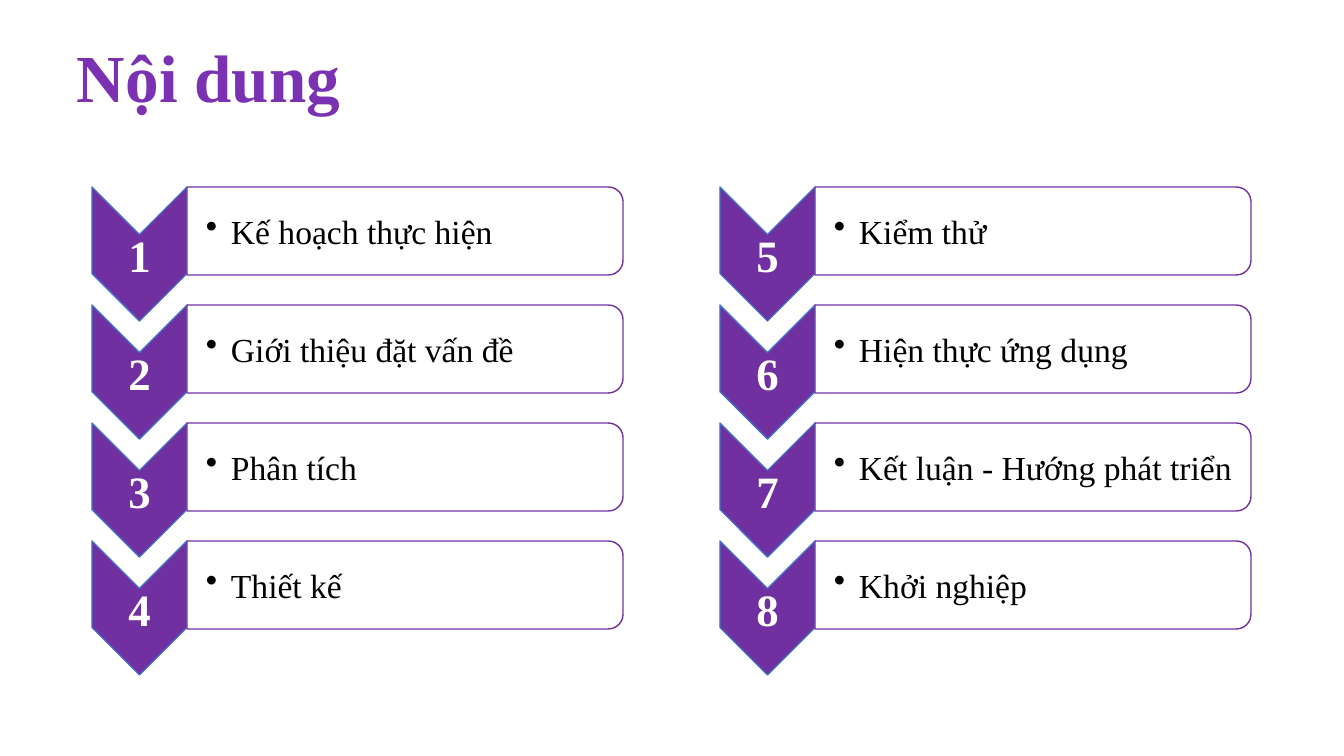
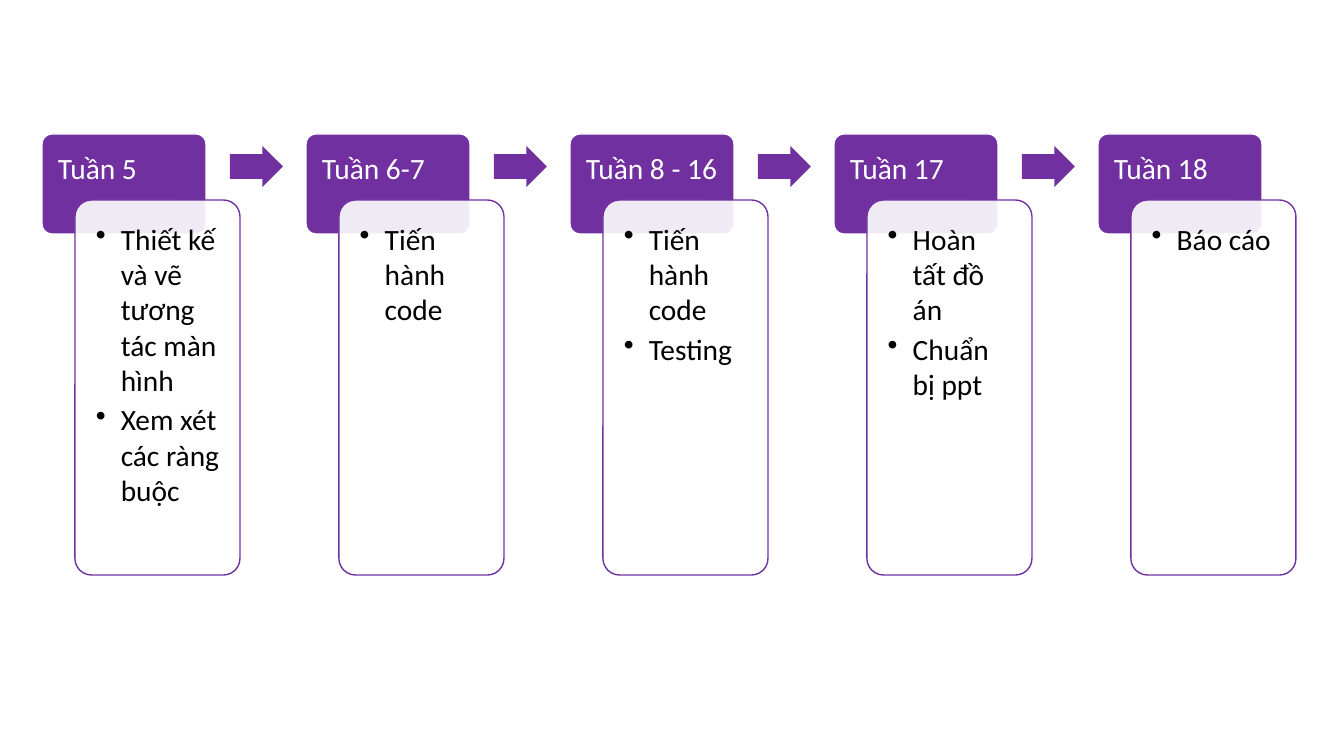
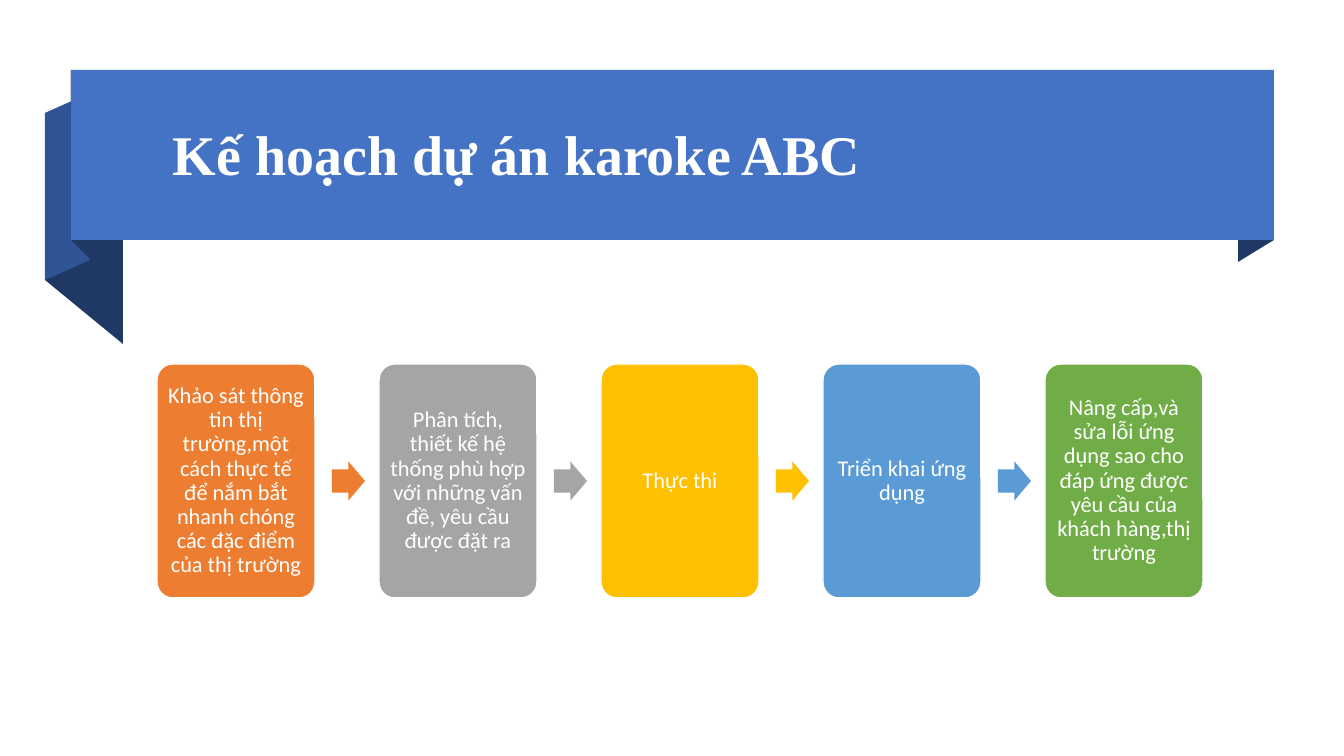
from lxml import etree
from pptx import Presentation
from pptx.dml.color import RGBColor
from pptx.enum.shapes import MSO_SHAPE as SHAPE
from pptx.enum.text import MSO_ANCHOR as ANCHOR, MSO_AUTO_SIZE as AUTO, PP_ALIGN as ALIGN
from pptx.oxml.ns import qn
from pptx.util import Pt

PX = 914400 / 100.8  # EMU in one px of a 1344 x 756 slide

WHITE = RGBColor(0xFF, 0xFF, 0xFF)
BLACK = RGBColor(0x00, 0x00, 0x00)
PURPLE = RGBColor(0x70, 0x30, 0xA0)
TITLE_LIGHT = RGBColor(0x7B, 0x32, 0xB2)
TITLE_DARK = RGBColor(0x40, 0x1A, 0x5D)
BLUE = RGBColor(0x44, 0x72, 0xC4)
MID_BLUE = RGBColor(0x2F, 0x55, 0x97)
NAVY = RGBColor(0x20, 0x38, 0x64)
ORANGE = RGBColor(0xED, 0x7D, 0x31)
GRAY = RGBColor(0xA5, 0xA5, 0xA5)
GOLD = RGBColor(0xFF, 0xC0, 0x00)
SKY = RGBColor(0x5B, 0x9B, 0xD5)
GREEN = RGBColor(0x70, 0xAD, 0x47)

SERIF = "Times New Roman"
SANS = "Calibri"

AGENDA = [
    ["Kế hoạch thực hiện", "Giới thiệu đặt vấn đề", "Phân tích", "Thiết kế"],
    ["Kiểm thử", "Hiện thực ứng dụng", "Kết luận - Hướng phát triển", "Khởi nghiệp"],
]
WEEKS = [
    ("Tuần 5", ["Thiết kế và vẽ tương tác màn hình", "Xem xét các ràng buộc"]),
    ("Tuần 6-7", ["Tiến hành code"]),
    ("Tuần 8 - 16", ["Tiến hành code", "Testing"]),
    ("Tuần 17", ["Hoàn tất đồ án", "Chuẩn bị ppt"]),
    ("Tuần 18", ["Báo cáo"]),
]
STEPS = [
    ("Khảo sát thông tin thị trường,một cách thực tế để nắm bắt nhanh chóng "
     "các đặc điểm của thị trường", ORANGE),
    ("Phân tích, thiết kế hệ thống phù hợp với những vấn đề, yêu cầu được đặt ra", GRAY),
    ("Thực thi", GOLD),
    ("Triển khai ứng dụng", SKY),
    ("Nâng cấp,và sửa lỗi ứng dụng sao cho đáp ứng được yêu cầu của khách hàng,thị trường",
     GREEN),
]


def px(n):
    return round(n * PX)


def box(*lengths):
    return [px(n) for n in lengths]


def paint(sp, fill, line=None, alpha=None):
    sp.shadow.inherit = False
    sp.fill.solid()
    sp.fill.fore_color.rgb = fill
    if alpha:
        color = sp._element.spPr.find(qn("a:solidFill")).find(qn("a:srgbClr"))
        etree.SubElement(color, qn("a:alpha"), val=str(alpha * 1000))
    if line is None:
        sp.line.fill.background()
    else:
        sp.line.color.rgb = line
        sp.line.width = Pt(1)


def add_shape(s, kind, x, y, w, h, fill, line=None, alpha=None, adj=()):
    sp = s.shapes.add_shape(kind, *box(x, y, w, h))
    for i, value in enumerate(adj):
        sp.adjustments[i] = value
    paint(sp, fill, line, alpha)
    return sp


def add_turned(s, kind, x, y, w, h, fill, line, alpha=None):
    """Add a shape turned by 90 degrees that covers the given box."""
    shift = (w - h) / 2
    sp = add_shape(s, kind, x + shift, y - shift, h, w, fill, line, alpha)
    sp.rotation = 90


def add_arrow(s, x, y, w, h, fill):
    add_shape(s, SHAPE.RIGHT_ARROW, x, y, w, h, fill, adj=(0.6, 0.5))


def add_bullet(p):
    pPr = p._p.get_or_add_pPr()
    pPr.set("marL", str(px(25)))
    pPr.set("indent", str(px(-25)))
    etree.SubElement(pPr, qn("a:buChar"), char="•")


def write(sp, lines, size, color, font, bold=False, align=ALIGN.LEFT, anchor=ANCHOR.MIDDLE,
          insets=(2, 2, 2, 2), bullets=False, spacing=1.0):
    tf = sp.text_frame
    tf.word_wrap = True
    tf.auto_size = AUTO.NONE
    tf.vertical_anchor = anchor
    tf.margin_left, tf.margin_top, tf.margin_right, tf.margin_bottom = box(*insets)
    for i, line in enumerate(lines):
        p = tf.paragraphs[0] if i == 0 else tf.add_paragraph()
        p.text = line
        if bullets:
            add_bullet(p)
        p.alignment = align
        p.line_spacing = spacing
        if i:
            p.space_before = Pt(3)
        f = p.runs[0].font
        f.name, f.size, f.bold = font, Pt(size), bold
        f.color.rgb = color


def add_text(s, x, y, w, h, text, *args, **style):
    write(s.shapes.add_textbox(*box(x, y, w, h)), [text], *args, **style)


def set_title(s, x, y, w, h, text, size, color):
    title = s.shapes.title
    title.left, title.top, title.width, title.height = box(x, y, w, h)
    write(title, [text], size, color, SERIF, bold=True, insets=(10, 5, 10, 5), spacing=0.9)
    return title.text_frame.paragraphs[0].runs[0]


def add_agenda_row(s, x, y, number, text):
    chevron_w, panel_w, panel_h = 95, 436, 88
    add_turned(s, SHAPE.CHEVRON, x, y, chevron_w, 134, PURPLE, BLUE)
    add_text(s, x, y + 47, chevron_w, 41, str(number), 32, WHITE, SERIF,
             bold=True, align=ALIGN.CENTER)
    panel_x = x + chevron_w
    add_turned(s, SHAPE.ROUND_2_SAME_RECTANGLE, panel_x, y, panel_w, panel_h,
               WHITE, PURPLE, alpha=90)
    add_text(s, panel_x, y + 4, panel_w - 4, panel_h - 8, text, 24, BLACK, SERIF,
             insets=(19, 2, 2, 2), bullets=True)


def add_week(s, x, y, name, tasks):
    header = add_shape(s, SHAPE.ROUNDED_RECTANGLE, x, y, 164, 100, PURPLE, WHITE, adj=(0.1,))
    write(header, [name], 21, WHITE, SANS, anchor=ANCHOR.TOP, insets=(13, 13, 10, 9))
    panel = add_shape(s, SHAPE.ROUNDED_RECTANGLE, x + 33, y + 66, 165, 375, WHITE, PURPLE,
                      alpha=90, adj=(0.1,))
    write(panel, tasks, 21, BLACK, SANS, anchor=ANCHOR.TOP, insets=(16, 16, 16, 16),
          bullets=True)


def add_step(s, x, y, w, h, text, fill):
    sp = add_shape(s, SHAPE.ROUNDED_RECTANGLE, x, y, w, h, fill, WHITE, adj=(0.1,))
    write(sp, [text], 16, WHITE, SANS, align=ALIGN.CENTER, insets=(6, 7, 6, 7), spacing=0.9)


def add_ribbon(s, x, y, w, h):
    """Add the title band with its folded ends behind it."""
    folds = [
        ([(w, h), (w - 36, h + 22), (w - 36, 22), (w, 0)], NAVY),
        ([(52, h + 104), (-26, h + 40), (-26, 43), (52, 106)], NAVY),
        ([(19, h + 20), (-26, h + 40), (-26, 43), (19, 23)], MID_BLUE),
        ([(19, h + 19), (0, h), (0, 0), (19, 19)], NAVY),
    ]
    for points, fill in folds:
        corners = [(px(x + dx), px(y + dy)) for dx, dy in points]
        outline = s.shapes.build_freeform(*corners[0], scale=1.0)
        outline.add_line_segments(corners[1:], close=True)
        paint(outline.convert_to_shape(), fill)
    add_shape(s, SHAPE.RECTANGLE, x, y, w, h, BLUE)


def build_agenda(s):
    r = set_title(s, 67, 18, 1210, 126, "Nội dung", 48, TITLE_LIGHT)
    r.font.fill.gradient()
    r.font.fill.gradient_angle = 0
    for stop, color in zip(r.font.fill.gradient_stops, (TITLE_LIGHT, TITLE_DARK)):
        stop.color.rgb = color
    for col, texts in enumerate(AGENDA):
        for row, text in enumerate(texts):
            add_agenda_row(s, 92 + 628 * col, 187 + 118 * row, col * len(texts) + row + 1, text)


def build_schedule(s):
    x, y, pitch = 42, 134, 264
    for i, (name, tasks) in enumerate(WEEKS):
        if i:
            add_arrow(s, x + pitch * i - 76, y + 12, 53, 41, PURPLE)
        add_week(s, x + pitch * i, y, name, tasks)


def build_project_plan(s):
    add_ribbon(s, 71, 70, 1203, 170)
    set_title(s, 163, 84, 1089, 146, "Kế hoạch dự án karoke ABC", 40, WHITE)
    x, y, w, h, pitch = 157, 364, 158, 234, 222
    arrow_w, arrow_h = 33, 39
    for i, (text, fill) in enumerate(STEPS):
        left = x + pitch * i
        add_step(s, left, y, w, h, text, fill)
        if i < len(STEPS) - 1:
            add_arrow(s, left + w + 17, y + (h - arrow_h) / 2, arrow_w, arrow_h, fill)


def main():
    prs = Presentation()
    prs.slide_width, prs.slide_height = box(1344, 756)
    for layout, build in (("Title Only", build_agenda), ("Blank", build_schedule),
                          ("Title Only", build_project_plan)):
        build(prs.slides.add_slide(prs.slide_layouts.get_by_name(layout)))
    # The title was created first, so it is raised above the ribbon.
    s = prs.slides[2]
    s.shapes._spTree.append(s.shapes.title._element)
    prs.save("out.pptx")


if __name__ == "__main__":
    main()
